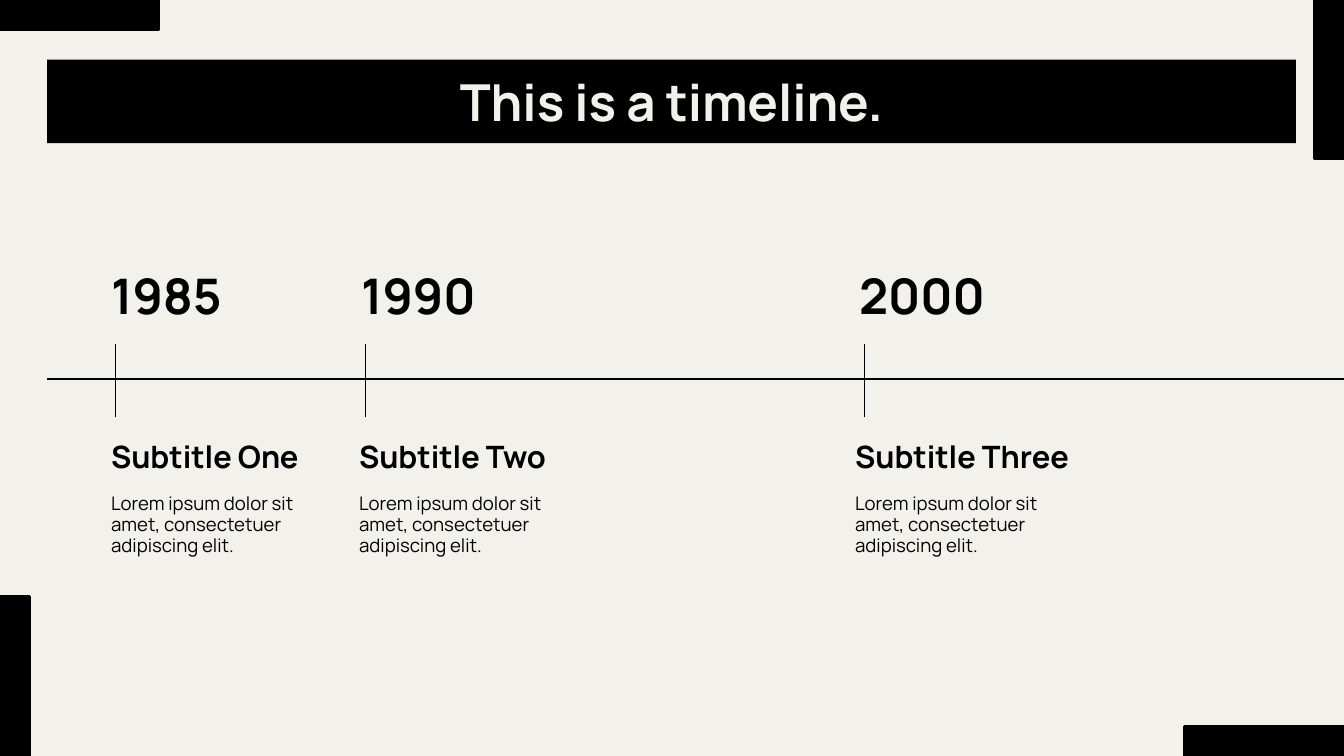
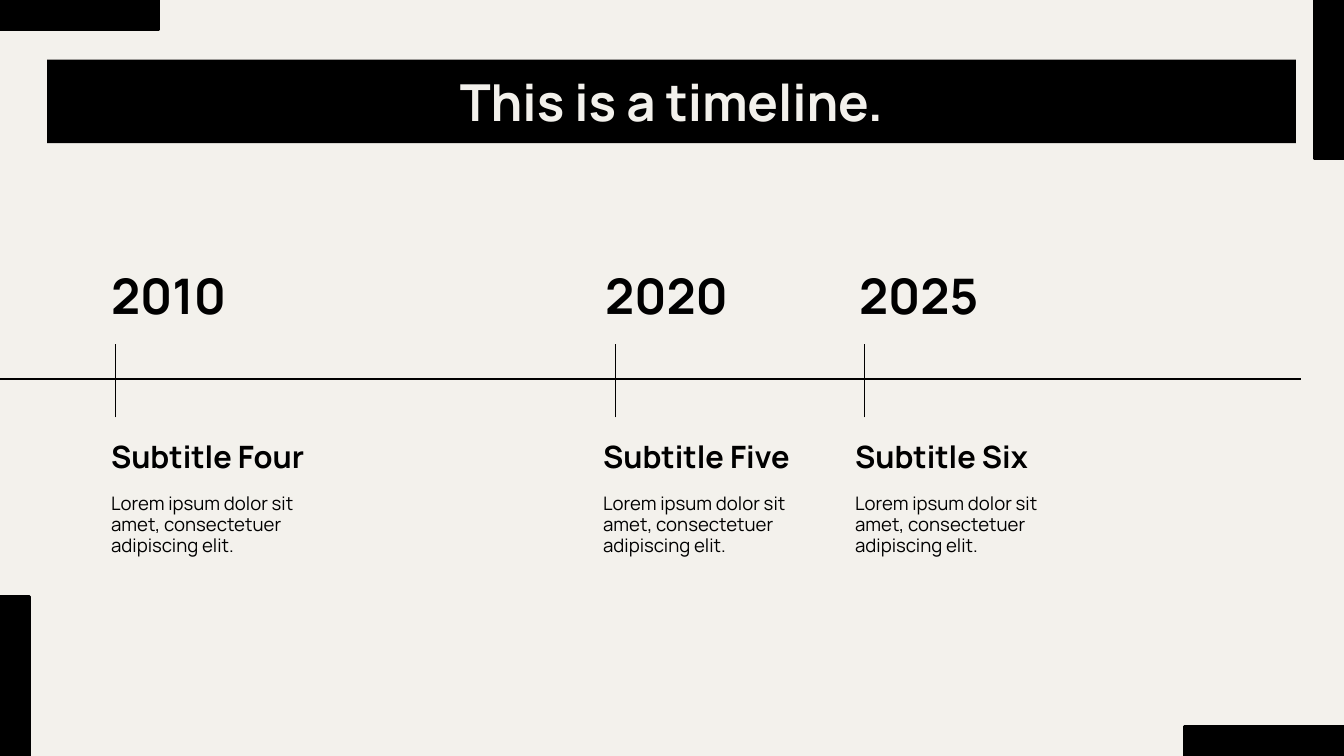
"""Build a two-slide timeline with a shared title band and corner bars."""
from dataclasses import dataclass

from lxml import etree
from pptx import Presentation
from pptx.dml.color import RGBColor
from pptx.enum.shapes import MSO_CONNECTOR, MSO_SHAPE
from pptx.enum.text import MSO_ANCHOR, MSO_AUTO_SIZE, PP_ALIGN
from pptx.oxml.ns import qn
from pptx.presentation import Presentation as Deck
from pptx.slide import Slide
from pptx.text.text import TextFrame
from pptx.util import Cm, Pt

BLACK = RGBColor(0x00, 0x00, 0x00)
CREAM = RGBColor(0xF3, 0xF1, 0xEC)
FONT = "Manrope"
RECTANGLE = MSO_SHAPE.RECTANGLE
STRAIGHT = MSO_CONNECTOR.STRAIGHT
TOP, MIDDLE, BOTTOM = MSO_ANCHOR.TOP, MSO_ANCHOR.MIDDLE, MSO_ANCHOR.BOTTOM
LEFT, CENTER = PP_ALIGN.LEFT, PP_ALIGN.CENTER
NO_AUTOFIT = MSO_AUTO_SIZE.NONE

SLIDE_WIDTH, SLIDE_HEIGHT = 33.87, 19.05
BAR_LENGTH, BAR_THICKNESS = 4.01, 0.74
INSET = 0.34
AXIS_Y, TICK_TOP, TICK_BOTTOM = 9.55, 8.66, 10.52
FIRST_TICK, TICK_STEP = 2.92, 6.29
COMPARISON_LAYOUT = 4
DESCRIPTION_INDEXES = (1, 2, 3)
UNUSED_INDEX = 4
TITLE = "This is a timeline."
DESCRIPTION = "Lorem ipsum dolor sit amet, consectetuer adipiscing elit."


@dataclass(frozen=True)
class Box:
    """A rectangle in centimetres."""

    left: float
    top: float
    width: float
    height: float

    def lengths(self) -> tuple[Cm, Cm, Cm, Cm]:
        """Return the sides as lengths."""
        return Cm(self.left), Cm(self.top), Cm(self.width), Cm(self.height)


@dataclass(frozen=True)
class TextStyle:
    """The look of one kind of text."""

    size: float
    bold: bool = True
    color: RGBColor = BLACK
    anchor: MSO_ANCHOR = TOP
    alignment: PP_ALIGN = LEFT
    line_spacing: float = 1.0
    space_after: float = 0


@dataclass(frozen=True)
class Column:
    """The left edges of the texts around one tick."""

    year_left: float
    text_left: float


@dataclass(frozen=True)
class Event:
    """One date on the timeline."""

    column: int
    year: str
    subtitle: str


@dataclass(frozen=True)
class Timeline:
    """The part of the timeline on one slide."""

    axis_start: float
    axis_end: float
    events: tuple[Event, ...]


TITLE_BOX = Box(1.19, 1.5, 31.47, 2.11)
TITLE_STYLE = TextStyle(36.4, color=CREAM, anchor=MIDDLE, alignment=CENTER)
YEAR_STYLE = TextStyle(35, line_spacing=0.8)
SUBTITLE_STYLE = TextStyle(22, anchor=BOTTOM)
DESCRIPTION_STYLE = TextStyle(13.3, bold=False, line_spacing=0.95, space_after=16)

CORNER_BARS = (
    Box(0, 0, BAR_LENGTH, BAR_THICKNESS),
    Box(SLIDE_WIDTH - BAR_THICKNESS, 0, BAR_THICKNESS, BAR_LENGTH),
    Box(0, SLIDE_HEIGHT - BAR_LENGTH, BAR_THICKNESS, BAR_LENGTH),
    Box(SLIDE_WIDTH - BAR_LENGTH, SLIDE_HEIGHT - BAR_THICKNESS, BAR_LENGTH, BAR_THICKNESS),
)
COLUMNS = (
    Column(2.46, 2.46),
    Column(8.76, 8.71),
    Column(14.91, 14.86),
    Column(21.31, 21.21),
)
TIMELINES = (
    Timeline(1.19, SLIDE_WIDTH, (
        Event(0, "1985", "Subtitle One"),
        Event(1, "1990", "Subtitle Two"),
        Event(3, "2000", "Subtitle Three"),
    )),
    Timeline(0, 32.79, (
        Event(0, "2010", "Subtitle Four"),
        Event(2, "2020", "Subtitle Five"),
        Event(3, "2025", "Subtitle Six"),
    )),
)


def write_text(frame: TextFrame, text: str, style: TextStyle) -> None:
    """Fill a text frame with one styled, unbulleted paragraph."""
    frame.text = text
    frame.word_wrap = True
    frame.auto_size = NO_AUTOFIT
    frame.vertical_anchor = style.anchor
    frame.margin_left = frame.margin_right = Cm(INSET)
    frame.margin_top = frame.margin_bottom = Cm(INSET)
    paragraph = frame.paragraphs[0]
    properties = paragraph._p.get_or_add_pPr()
    properties.set("marL", "0")
    properties.set("indent", "0")
    etree.SubElement(properties, qn("a:buNone"))
    paragraph.alignment = style.alignment
    paragraph.line_spacing = style.line_spacing
    paragraph.space_before = Pt(0)
    paragraph.space_after = Pt(style.space_after)
    font = paragraph.font
    font.name, font.size, font.bold = FONT, Pt(style.size), style.bold
    font.color.rgb = style.color


def fill_placeholder(slide: Slide, index: int, box: Box, text: str, style: TextStyle) -> None:
    """Move a placeholder and write its text."""
    placeholder = slide.placeholders[index]
    placeholder.left, placeholder.top, placeholder.width, placeholder.height = box.lengths()
    write_text(placeholder.text_frame, text, style)


def add_text(slide: Slide, box: Box, text: str, style: TextStyle) -> None:
    """Add a text box."""
    write_text(slide.shapes.add_textbox(*box.lengths()).text_frame, text, style)


def add_line(slide: Slide, x1: float, y1: float, x2: float, y2: float) -> None:
    """Add a thin black line."""
    line = slide.shapes.add_connector(STRAIGHT, Cm(x1), Cm(y1), Cm(x2), Cm(y2))
    line.line.color.rgb = BLACK
    line.line.width = Pt(0.75)
    etree.SubElement(line._element.spPr, qn("a:effectLst"))


def add_corner_bar(slide: Slide, box: Box) -> None:
    """Add a black bar at a slide corner."""
    shape = slide.shapes.add_shape(RECTANGLE, *box.lengths())
    shape.shadow.inherit = False
    shape.fill.solid()
    shape.fill.fore_color.rgb = BLACK
    shape.line.color.rgb = BLACK
    shape.line.width = Pt(2)


def add_event(slide: Slide, event: Event, description_index: int) -> None:
    """Draw the tick and texts of one event."""
    column = COLUMNS[event.column]
    tick = FIRST_TICK + event.column * TICK_STEP
    add_line(slide, tick, TICK_BOTTOM, tick, TICK_TOP)
    add_text(slide, Box(column.year_left, 6.65, 5.87, 1.7), event.year, YEAR_STYLE)
    add_text(slide, Box(column.text_left, 10.82, 6.22, 1.47), event.subtitle, SUBTITLE_STYLE)
    description_box = Box(column.text_left, 12.09, 6.22, 2.46)
    fill_placeholder(slide, description_index, description_box, DESCRIPTION, DESCRIPTION_STYLE)


def add_timeline_slide(presentation: Deck, timeline: Timeline) -> None:
    """Add a slide with its title band, axis, events and corner bars."""
    slide = presentation.slides.add_slide(presentation.slide_layouts[COMPARISON_LAYOUT])
    unused = slide.placeholders[UNUSED_INDEX]._element
    unused.getparent().remove(unused)
    fill_placeholder(slide, 0, TITLE_BOX, TITLE, TITLE_STYLE)
    title = slide.shapes.title
    title.fill.solid()
    title.fill.fore_color.rgb = BLACK
    add_line(slide, timeline.axis_start, AXIS_Y, timeline.axis_end, AXIS_Y)
    for event, index in zip(timeline.events, DESCRIPTION_INDEXES):
        add_event(slide, event, index)
    for bar in CORNER_BARS:
        add_corner_bar(slide, bar)


def main() -> None:
    """Build and save the presentation."""
    presentation = Presentation()
    presentation.slide_width, presentation.slide_height = Cm(SLIDE_WIDTH), Cm(SLIDE_HEIGHT)
    background = presentation.slide_master.background.fill
    background.solid()
    background.fore_color.rgb = CREAM
    for timeline in TIMELINES:
        add_timeline_slide(presentation, timeline)
    presentation.save("out.pptx")


if __name__ == "__main__":
    main()
